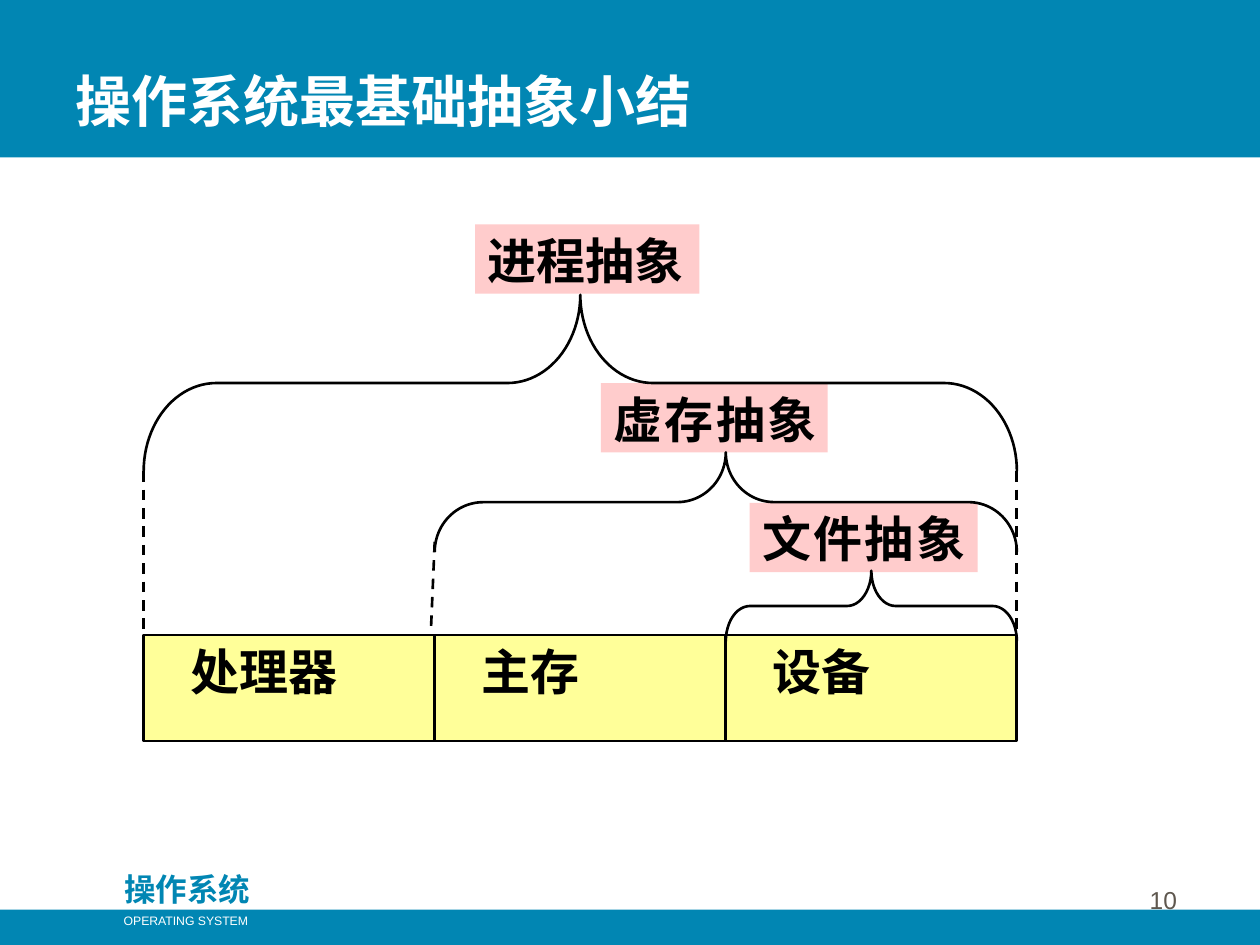
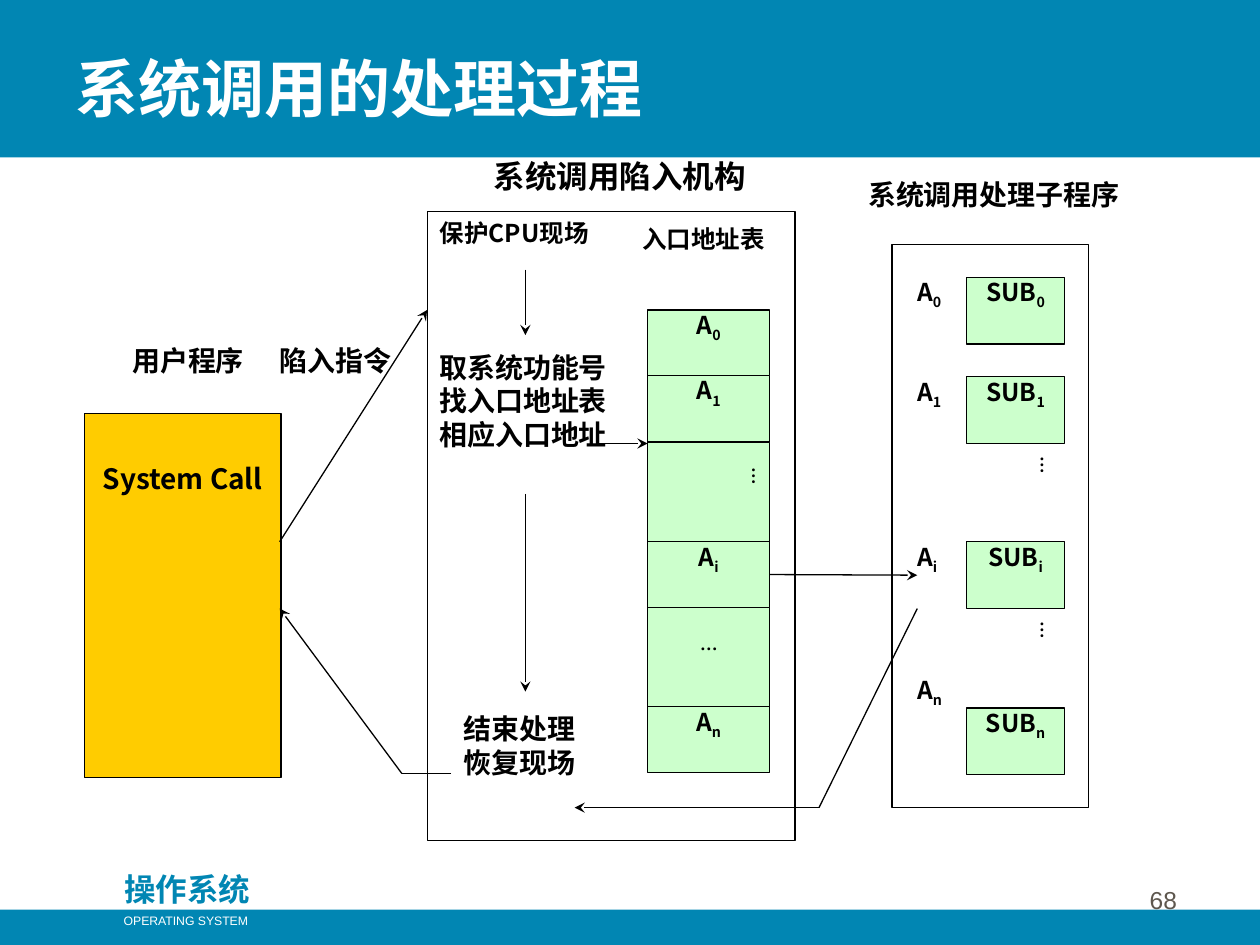
from lxml.etree import SubElement
from pptx import Presentation
from pptx.dml.color import RGBColor
from pptx.enum.dml import MSO_LINE
from pptx.enum.shapes import MSO_CONNECTOR, MSO_SHAPE
from pptx.enum.text import MSO_ANCHOR, PP_ALIGN
from pptx.oxml.ns import qn
from pptx.util import Pt

PX = 9144
BAND_BLUE = RGBColor(0x01, 0x86, 0xB3)
WHITE = RGBColor(0xFF, 0xFF, 0xFF)
BLACK = RGBColor(0x00, 0x00, 0x00)
NUMBER_GREY = RGBColor(0x5E, 0x57, 0x4E)
PINK = RGBColor(0xFF, 0xCC, 0xCC)
YELLOW = RGBColor(0xFF, 0xFF, 0x99)
ORANGE = RGBColor(0xFF, 0xCC, 0x00)
MINT = RGBColor(0xCC, 0xFF, 0xCC)
CJK = "Noto Sans CJK SC"
LATIN = "Arial"
SERIF = "Times New Roman"
NO_INSETS = (0, 0, 0, 0)
INSETS = (10, 5, 10, 5)


def px(*lengths):
    return [round(length * PX) for length in lengths]


def write(shape, lines, size, color=BLACK, align=PP_ALIGN.LEFT, insets=NO_INSETS,
          subscript="", face=CJK, bold=True, anchor=MSO_ANCHOR.TOP,
          vertical=False, spacing=0):
    frame = shape.text_frame
    frame.word_wrap = True
    frame.vertical_anchor = anchor
    (frame.margin_left, frame.margin_top,
     frame.margin_right, frame.margin_bottom) = px(*insets)
    if vertical:
        frame._txBody.bodyPr.set("vert", "eaVert")
    for index, line in enumerate(lines.split("\n")):
        paragraph = frame.add_paragraph() if index else frame.paragraphs[0]
        paragraph.alignment = align
        font = paragraph.font
        font.name, font.size, font.bold = face, Pt(size), bold
        font.color.rgb = color
        SubElement(font._element, qn("a:ea")).set("typeface", CJK)
        if spacing:
            font._element.set("spc", str(spacing))
        paragraph.add_run().text = line
        if subscript:
            low = paragraph.add_run()
            low.text = subscript
            low.font._element.set("baseline", "-25000")


def add_label(slide, box, lines, size, **style):
    label = slide.shapes.add_textbox(*px(*box))
    write(label, lines, size, **style)
    return label


def add_block(slide, box, fill=None, line_width=0, kind=MSO_SHAPE.RECTANGLE):
    block = slide.shapes.add_shape(kind, *px(*box))
    block.shadow.inherit = False
    if fill is None:
        block.fill.background()
    else:
        block.fill.solid()
        block.fill.fore_color.rgb = fill
    if line_width:
        block.line.color.rgb = BLACK
        block.line.width = Pt(line_width)
    else:
        block.line.fill.background()
    return block


def add_brace(slide, left, top, span, depth):
    box = (left + (span - depth) / 2, top + (depth - span) / 2, depth, span)
    brace = add_block(slide, box, line_width=1.5, kind=MSO_SHAPE.LEFT_BRACE)
    brace.rotation = 90
    brace.adjustments[0] = span / 12 / depth
    brace.adjustments[1] = 0.5


def add_line(slide, start, end, width=0.75, dashed=False, arrow=False):
    line = slide.shapes.add_connector(MSO_CONNECTOR.STRAIGHT, *px(*start, *end))
    line.line.color.rgb = BLACK
    line.line.width = Pt(width)
    if dashed:
        line.line.dash_style = MSO_LINE.DASH
    if arrow:
        SubElement(line.line._get_or_add_ln(), qn("a:tailEnd")).set("type", "stealth")
    SubElement(line._element.spPr, qn("a:effectLst"))
    return line


def add_page(deck, title, title_box, title_size, number):
    slide = deck.slides.add_slide(deck.slide_layouts[6])
    add_block(slide, (0, 0, 1000, 125), BAND_BLUE)
    add_block(slide, (0, 722, 1000, 28), BAND_BLUE)
    add_label(slide, (83, 686, 131, 40), "操作系统", 18, color=BAND_BLUE,
              align=PP_ALIGN.CENTER, insets=INSETS)
    add_label(slide, (88, 720, 119, 22), "OPERATING SYSTEM", 7, color=WHITE,
              align=PP_ALIGN.CENTER, insets=(0, 5, 0, 5), face=LATIN, bold=False)
    add_label(slide, (736, 681, 208, 50), number, 14, color=NUMBER_GREY,
              align=PP_ALIGN.RIGHT, insets=INSETS, face=LATIN, bold=False,
              anchor=MSO_ANCHOR.BOTTOM)
    add_label(slide, title_box, title, title_size, color=WHITE, insets=INSETS,
              anchor=MSO_ANCHOR.BOTTOM)
    return slide


def build_abstractions(deck):
    slide = add_page(deck, "操作系统最基础抽象小结", (50, 33, 850, 78), 32, "10")
    left, part_width, part_top = 114, 231, 504
    right = left + 3 * part_width

    for name, x, y, width, spacing in (("文件抽象", 595, 399, 181, 140),
                                       ("虚存抽象", 477, 304, 180, 140),
                                       ("进程抽象", 377, 178, 178, 0)):
        abstraction = add_block(slide, (x, y, width, 55), PINK)
        write(abstraction, name, 28, insets=(10, 5, 0, 5), spacing=spacing)

    for index, name in enumerate(("处理器", "主存", "设备")):
        part = add_block(slide, (left + index * part_width, part_top, part_width, 84),
                         YELLOW, 1.5)
        write(part, name, 28, insets=(37, 5, 10, 5))

    for first_part, top, depth in ((2, 453, 56), (1, 359, 79), (0, 234, 140)):
        start = left + first_part * part_width
        add_brace(slide, start, top, right - start, depth)

    for start, end in (((345, 430), (342, 501)),
                       ((left, 374), (left, 501)),
                       ((right, 374), (right, 501))):
        add_line(slide, start, end, 1.5, dashed=True)


def add_subroutines(slide):
    labels = {}
    for sub, label_top, top in (("0", 220, 220), ("1", 299, 299),
                                ("i", 430, 430), ("n", 536, 562)):
        labels[sub] = add_label(slide, (728, label_top, 39, 53), "A", 14, subscript=sub)
        routine = add_block(slide, (767, top, 78, 53), MINT, 0.75)
        write(routine, "SUB", 14, align=PP_ALIGN.CENTER, subscript=sub)
    for top in (352, 483):
        add_label(slide, (767, top, 78, 79), "…", 10, insets=(5, 10, 5, 10),
                  face=SERIF, vertical=True)
    add_block(slide, (708, 194, 156, 447), line_width=0.75)
    add_label(slide, (689, 141, 211, 53), "系统调用处理子程序", 16)
    return labels


def add_entry_table(slide):
    entries = {}
    top = 246
    for sub, height, vertical in (("0", 52, False), ("1", 53, False), ("", 79, True),
                                  ("i", 52, False), ("", 79, False), ("n", 52, False)):
        entry = add_block(slide, (514, top, 97, height), MINT, 0.75)
        if sub:
            write(entry, "A", 14, align=PP_ALIGN.CENTER, subscript=sub)
            entries[sub] = entry
        else:
            write(entry, "…", 10, align=PP_ALIGN.CENTER, insets=(0, 20, 0, 0),
                  face=SERIF, vertical=vertical)
        top += height
    return entries


def build_system_call(deck):
    slide = add_page(deck, "系统调用的处理过程", (50, 42, 774, 62), 36, "68")

    user_program = add_block(slide, (67, 328, 156, 289), ORANGE, 0.75)
    write(user_program, "System Call", 16, align=PP_ALIGN.CENTER, insets=(10, 38, 10, 5))
    add_label(slide, (105, 273, 97, 52), "用户程序", 16)
    add_label(slide, (222, 273, 97, 52), "陷入指令", 16)

    routine_labels = add_subroutines(slide)
    entries = add_entry_table(slide)

    add_label(slide, (339, 168, 156, 84), "保护CPU现场", 14, insets=INSETS)
    lookup = add_label(slide, (339, 273, 156, 119),
                       "取系统功能号\n找入口地址表\n相应入口地址", 16, insets=INSETS)
    add_label(slide, (358, 560, 117, 89), "结束处理\n恢复现场", 16, insets=INSETS)
    add_label(slide, (392, 125, 208, 30), "系统调用陷入机构", 18)
    add_label(slide, (500, 173, 125, 49), "入口地址表", 14, insets=INSETS)
    add_block(slide, (339, 168, 292, 499), line_width=0.75)

    for start, end in (((417, 214), (417, 266)),
                       ((475, 352), (514, 352)),
                       ((319, 614), (222, 483)),
                       ((222, 430), (339, 246)),
                       ((650, 641), (456, 641))):
        add_line(slide, start, end, arrow=True)
    for start, end in (((358, 614), (319, 614)), ((728, 483), (650, 641))):
        add_line(slide, start, end)

    finish = add_line(slide, (417, 392), (417, 549), arrow=True)
    finish.begin_connect(lookup, 2)
    dispatch = add_line(slide, (611, 456), (728, 457), arrow=True)
    dispatch.begin_connect(entries["i"], 3)
    dispatch.end_connect(routine_labels["i"], 1)


def main():
    deck = Presentation()
    deck.slide_width, deck.slide_height = px(1000, 750)
    build_abstractions(deck)
    build_system_call(deck)
    deck.save("out.pptx")


if __name__ == "__main__":
    main()
